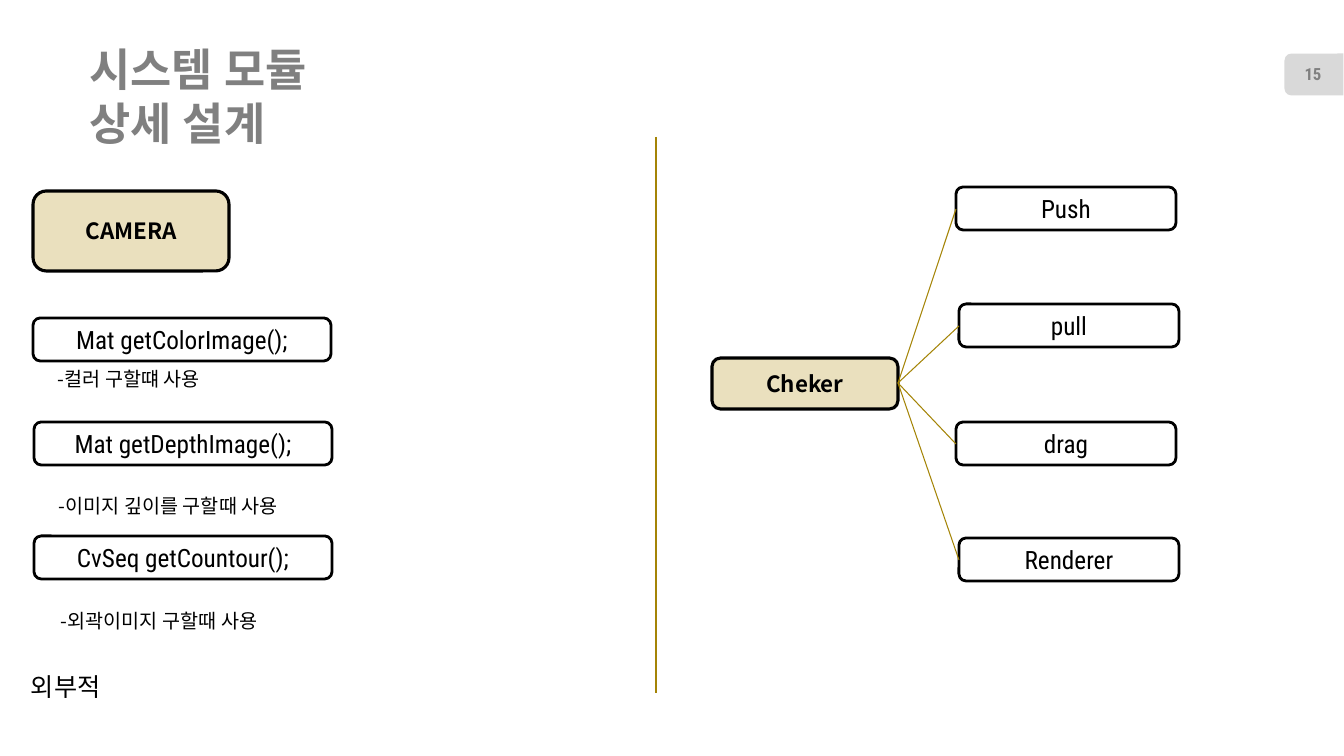
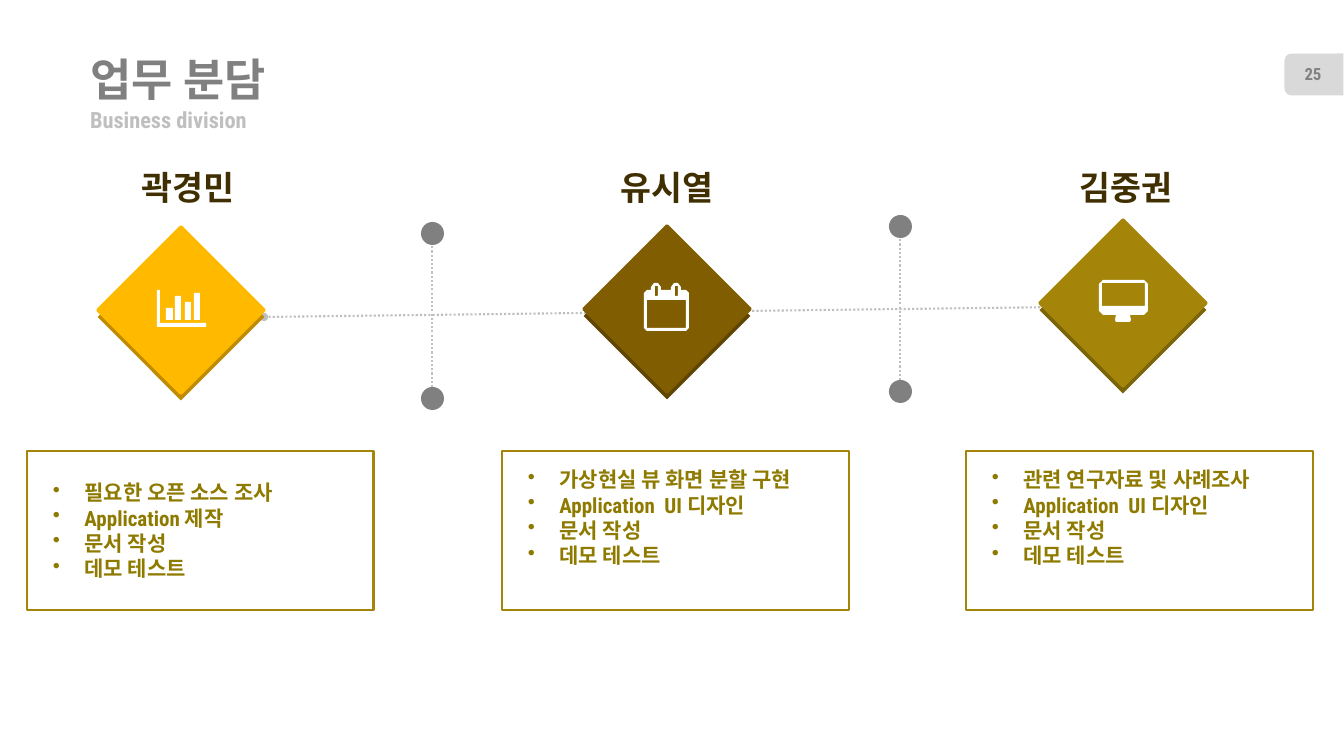
from lxml.etree import SubElement as Sub
from pptx import Presentation
from pptx.dml.color import RGBColor as RGB
from pptx.enum.shapes import MSO_CONNECTOR as CON, MSO_SHAPE as SHP
from pptx.enum.text import MSO_ANCHOR as ANC, PP_ALIGN as AL
from pptx.oxml.ns import qn
from pptx.util import Pt

PX = 12192000 / 1344
BLACK = RGB(0, 0, 0)
WHITE = RGB(255, 255, 255)
GREY = RGB(0x80, 0x80, 0x80)
PALE = RGB(0xD9, 0xD9, 0xD9)
SILVER = RGB(0xBF, 0xBF, 0xBF)
SAND = RGB(0xEA, 0xE0, 0xBE)
GOLD = RGB(0xA4, 0x84, 0x06)
FRAME = RGB(0xA4, 0x85, 0x0A)
OLIVE = RGB(0x8F, 0x7A, 0x00)
BROWN = RGB(0x40, 0x2F, 0x00)
AMBER = RGB(0xFF, 0xBA, 0x00)
HONEY = RGB(0xBF, 0x8B, 0x00)
UMBER = RGB(0x7F, 0x5D, 0x00)
DARK = RGB(0x5F, 0x46, 0x00)
MOSS = RGB(0x7B, 0x64, 0x07)

COND, NOTO = "Roboto Condensed", "Noto Sans CJK KR"
TITLE = dict(name="Roboto", size=Pt(32), bold=True, color=GREY)
SUBT = dict(name=COND, size=Pt(16), bold=True, color=SILVER)
PAGE = dict(name=COND, size=Pt(12), bold=True, color=GREY)
HEAD = dict(name=NOTO, size=Pt(16), bold=True, color=BLACK)
CALL = dict(name=COND, size=Pt(18), color=BLACK)
NOTE = dict(name=NOTO, size=Pt(14), color=BLACK)
NAME = dict(name=COND, size=Pt(24), bold=True, color=BROWN)
TASK = dict(name=COND, size=Pt(15), bold=True, color=OLIVE)

HEADS = [("CAMERA", (33, 191, 196, 80)), ("Cheker", (712, 358, 186, 51))]
CALLS = [
    ("Mat getColorImage();", 33, 318),
    ("Mat getDepthImage();", 34, 422),
    ("CvSeq getCountour();", 34, 536),
]
NOTES = [
    ("-컬러 구할떄 사용", (48, 362, 200, 34)),
    ("-이미지 깊이를 구할때 사용", (49, 489, 266, 34)),
    ("-외곽이미지 구할때 사용", (51, 604, 266, 34)),
]
MOVES = [("Push", 956, 187), ("pull", 959, 304), ("drag", 956, 422), ("Renderer", 959, 538)]
HUB = (898, 383)

TEAM = [
    ("곽경민", 70, (122, 251), AMBER, HONEY, 27, 475,
     ["필요한 오픈 소스 조사", "Application 제작", "문서 작성", "데모 테스트"]),
    ("유시열", 549, (608, 250), UMBER, DARK, 502, 462,
     ["가상현실 뷰 화면 분할 구현", "Application  UI 디자인", "문서 작성", "데모 테스트"]),
    ("김중권", 1008, (1064, 244), FRAME, MOSS, 966, 462,
     ["관련 연구자료 및 사례조사", "Application  UI 디자인", "문서 작성", "데모 테스트"]),
]
POSTS = [(421, 222), (889, 215)]


def rect(l, t, r, b):
    return [(l, t), (r, t), (r, b), (l, b)]


CHART = [
    [(0, 0), (3, 0), (3, 33), (49, 33), (49, 37), (0, 37)],
    rect(9, 18, 16, 30), rect(18, 6, 24, 30), rect(28, 12, 34, 30), rect(37, 3, 43, 30),
]
DATES = [
    [(45, 45), (42, 48), (3, 48), (0, 45), (0, 10), (3, 7), (7, 7), (7, 4), (10, 0),
     (14, 0), (17, 4), (17, 7), (27, 7), (27, 4), (30, 0), (34, 0), (37, 4), (37, 7),
     (42, 7), (45, 10)],
    rect(3, 17, 42, 45), rect(11, 3, 14, 13), rect(31, 3, 34, 13),
]
SCREEN = [
    [(49, 31), (45, 35), (31, 35), (32, 40), (31, 42), (17, 42), (16, 40), (17, 35),
     (4, 35), (0, 31), (0, 4), (4, 0), (45, 0), (49, 4)],
    rect(3, 3, 46, 26),
]
ICONS = [(CHART, 157, 290), (DATES, 644, 283), (SCREEN, 1099, 280)]


def emu(*vals):
    return [round(v * PX) for v in vals]


def write(shape, lines, fmt, align=AL.LEFT, anchor=ANC.TOP, pad=None, dots=False):
    frame = shape.text_frame
    frame.word_wrap = True
    frame.vertical_anchor = anchor
    if pad is not None:
        for side in ("left", "right", "top", "bottom"):
            setattr(frame, "margin_" + side, pad)
    for i, line in enumerate(lines):
        para = frame.add_paragraph() if i else frame.paragraphs[0]
        para.alignment = align
        if dots:
            props = para._p.get_or_add_pPr()
            props.set("marL", "285750")
            props.set("indent", "-285750")
            Sub(props, qn("a:buChar"), char="•")
        for j, part in enumerate(line.split("\n")):
            if j:
                para.add_line_break()
            run = para.add_run()
            run.text = part
            for key, val in fmt.items():
                if key == "color":
                    run.font.color.rgb = val
                else:
                    setattr(run.font, key, val)
            Sub(run._r.get_or_add_rPr(), qn("a:ea"), typeface=fmt["name"])


def text(slide, box, lines, fmt, **opts):
    write(slide.shapes.add_textbox(*emu(*box)), lines, fmt, **opts)


def paint(item, fill=None, edge=None, width=2):
    item.shadow.inherit = False
    if fill is None:
        item.fill.background()
    else:
        item.fill.solid()
        item.fill.fore_color.rgb = fill
    if edge is None:
        item.line.fill.background()
    else:
        item.line.color.rgb = edge
        item.line.width = Pt(width)


def shape(slide, kind, box, fill=None, edge=None, width=2, turn=0):
    item = slide.shapes.add_shape(kind, *emu(*box))
    item.rotation = turn
    paint(item, fill, edge, width)
    return item


def card(slide, label, box, fmt, fill=None, width=2):
    item = shape(slide, SHP.ROUNDED_RECTANGLE, box, fill, BLACK, width)
    write(item, [label], fmt, align=AL.CENTER, anchor=ANC.MIDDLE)


def line(slide, start, end, color, width=0.75, dotted=False):
    item = slide.shapes.add_connector(CON.STRAIGHT, *emu(*start, *end))
    item.line.color.rgb = color
    item.line.width = Pt(width)
    props = item.element.spPr
    if dotted:
        stroke = props.find(qn("a:ln"))
        Sub(stroke, qn("a:prstDash"), val="sysDot")
        for tip in ("a:headEnd", "a:tailEnd"):
            Sub(stroke, qn(tip), type="oval")
    Sub(props, qn("a:effectLst"))


def icon(slide, loops, x, y):
    pen = None
    for loop in loops:
        pts = [(x + a, y + b) for a, b in loop]
        if pen is None:
            pen = slide.shapes.build_freeform(*pts[0], scale=PX)
        else:
            pen.move_to(*pts[0])
        pen.add_line_segments(pts[1:], close=True)
    paint(pen.convert_to_shape(), WHITE)


def start(deck, page, title, box):
    slide = deck.slides.add_slide(deck.slide_layouts[6])
    shape(slide, SHP.ROUND_2_SAME_RECTANGLE, (1293, 45, 42, 59), PALE, turn=270)
    text(slide, (1285, 54, 56, 40), [page], PAGE, align=AL.CENTER, anchor=ANC.MIDDLE)
    text(slide, box, [title], TITLE, anchor=ANC.MIDDLE, pad=0)
    return slide


def modules(deck):
    slide = start(deck, "15", "시스템 모듈\n상세 설계", (89, 70, 281, 52))
    for label, box in HEADS:
        card(slide, label, box, HEAD, SAND, 2.25)
    for label, x, y in CALLS:
        card(slide, label, (x, y, 298, 43), CALL)
    for label, box in NOTES:
        text(slide, box, [label], NOTE)
    text(slide, (21, 666, 127, 40), ["외부적"], CALL)
    line(slide, (656, 137), (656, 693), GOLD)
    for label, x, y in MOVES:
        card(slide, label, (x, y, 220, 43), CALL)
        line(slide, HUB, (x, y + 22), GOLD)


def duties(deck):
    slide = start(deck, "25", "업무 분담", (90, 53, 829, 52))
    text(slide, (90, 105, 605, 29), ["Business division"], SUBT, anchor=ANC.MIDDLE, pad=0)
    line(slide, (1065, 307), (264, 317), SILVER, 1.5, True)
    for name, left, (x, y), face, shade, edge, top, tasks in TEAM:
        text(slide, (left, 162, 174, 50), [name], NAME, align=AL.RIGHT)
        shape(slide, SHP.RECTANGLE, (x, y + 7, 118, 118), shade, turn=315)
        shape(slide, SHP.RECTANGLE, (x, y, 118, 118), face, face, turn=315)
        text(slide, (edge + 16, top, 488, 112), tasks, TASK, dots=True)
        shape(slide, SHP.RECTANGLE, (edge, 451, 347, 159), edge=FRAME)
    for loops, x, y in ICONS:
        icon(slide, loops, x, y)
    for x, y in POSTS:
        line(slide, (x + 11, y + 173), (x + 11, y + 14), SILVER, 1.5, True)
        for drop in (0, 165):
            shape(slide, SHP.OVAL, (x, y + drop, 23, 23), GREY)


deck = Presentation()
deck.slide_width, deck.slide_height = emu(1344, 756)
modules(deck)
duties(deck)
deck.save("out.pptx")
